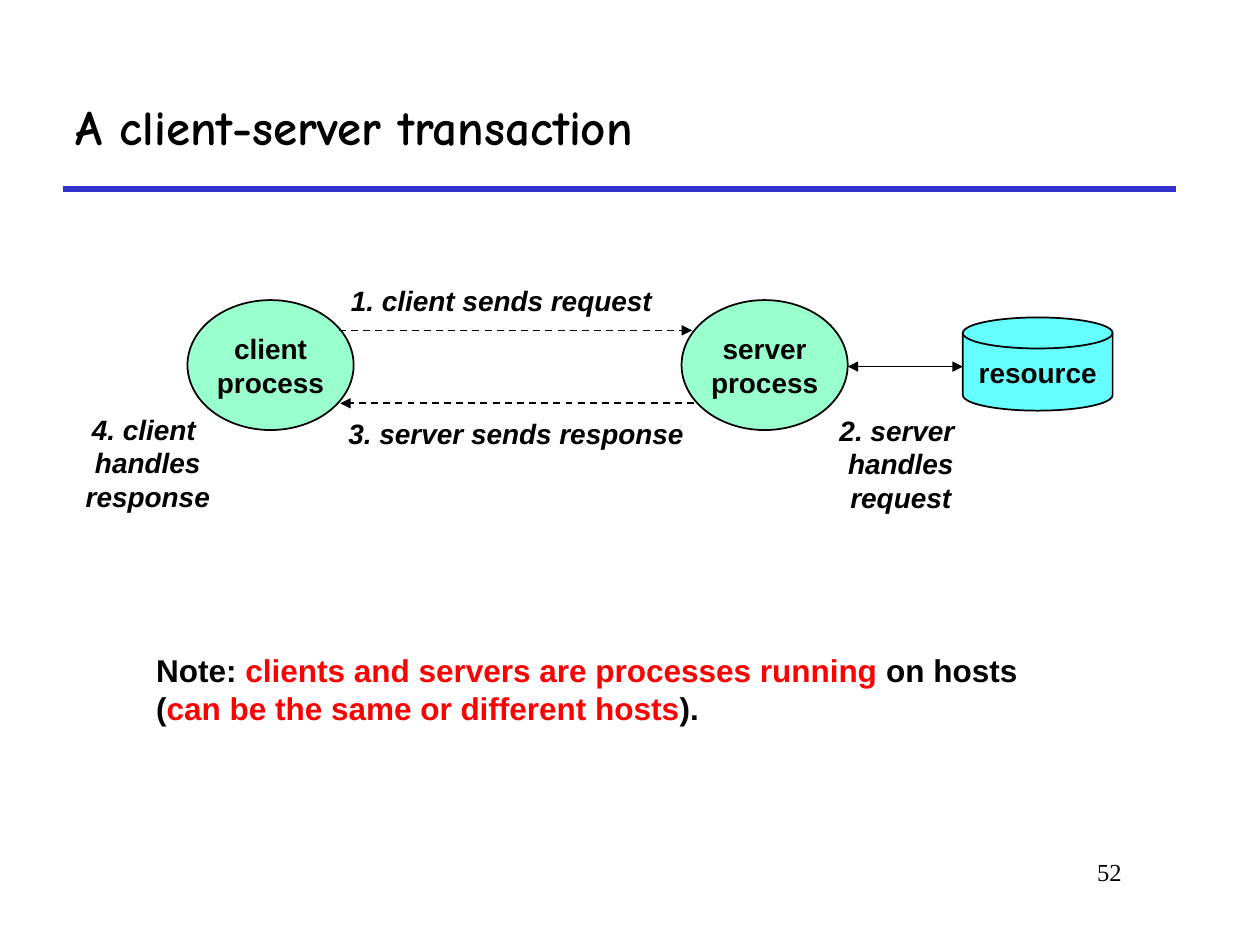
from lxml import etree
from pptx import Presentation
from pptx import util as u
from pptx.dml.color import RGBColor
from pptx.enum import dml, shapes, text
from pptx.oxml.ns import qn

BLACK, RED, BLUE = "000000", "FF0000", "3333CC"
GREEN, CYAN = "99FFCC", "66FFFF"
LEFT, CENTER, RIGHT = text.PP_ALIGN.LEFT, text.PP_ALIGN.CENTER, text.PP_ALIGN.RIGHT
TOP, MIDDLE = text.MSO_ANCHOR.TOP, text.MSO_ANCHOR.MIDDLE


def rgb(color):
    return RGBColor.from_string(color)


def write(sp, lines, size=16, font="Arial", bold=True, italic=False,
          align=CENTER, anchor=MIDDLE, wrap=False):
    """Fill a shape with lines; a line is a string or a list of (string, colour)."""
    tf = sp.text_frame
    tf.word_wrap = wrap
    tf.vertical_anchor = anchor
    for i, line in enumerate(lines):
        p = tf.paragraphs[0] if i == 0 else tf.add_paragraph()
        p.alignment = align
        runs = [(line, BLACK)] if isinstance(line, str) else line
        for words, color in runs:
            r = p.add_run()
            r.text = words
            r.font.name = font
            r.font.size = u.Pt(size)
            r.font.bold = bold
            r.font.italic = italic
            r.font.color.rgb = rgb(color)


def add_text(s, x, y, w, h, lines, **fmt):
    sp = s.shapes.add_textbox(u.Cm(x), u.Cm(y), u.Cm(w), u.Cm(h))
    write(sp, lines, **fmt)


def add_node(s, kind, x, y, w, h, fill, lines):
    sp = s.shapes.add_shape(kind, u.Cm(x), u.Cm(y), u.Cm(w), u.Cm(h))
    sp.shadow.inherit = False
    sp.fill.solid()
    sp.fill.fore_color.rgb = rgb(fill)
    sp.line.color.rgb = rgb(BLACK)
    sp.line.width = u.Pt(1)
    write(sp, lines)


def add_line(s, x1, x2, y, color=BLACK, width=1, dashed=False, ends=()):
    """Draw a horizontal line; ends names the arrowheads, headEnd before tailEnd."""
    line = s.shapes.add_connector(shapes.MSO_CONNECTOR.STRAIGHT,
                                  u.Cm(x1), u.Cm(y), u.Cm(x2), u.Cm(y))
    line.line.color.rgb = rgb(color)
    line.line.width = u.Pt(width)
    if dashed:
        line.line.dash_style = dml.MSO_LINE.DASH
    ln = line.line._get_or_add_ln()
    for end in ends:
        etree.SubElement(ln, qn(f"a:{end}"), type="triangle")
    etree.SubElement(line._element.spPr, qn("a:effectLst"))


def add_frame(s):
    add_line(s, 1.27, 23.7, 3.81, BLUE, 3)
    add_text(s, 1.27, 1.27, 22.43, 2.54, ["A client-server transaction"],
             size=28, font="Comic Neue", align=LEFT, wrap=True)
    add_text(s, 19.25, 17.15, 3.61, 1.27, ["52"], size=14, bold=False,
             font="Times New Roman", align=RIGHT, anchor=TOP, wrap=True)


def add_diagram(s):
    for x, name in ((3.78, "client"), (13.74, "server")):
        add_node(s, shapes.MSO_SHAPE.OVAL, x, 6.05, 3.35, 2.62, GREEN,
                 [name, "process"])
    add_node(s, shapes.MSO_SHAPE.FLOWCHART_MAGNETIC_DISK,
             19.41, 6.4, 3.02, 1.88, CYAN, ["resource"])

    add_line(s, 6.83, 13.95, 6.66, dashed=True, ends=["tailEnd"])
    add_line(s, 13.99, 6.86, 8.13, dashed=True, ends=["tailEnd"])
    add_line(s, 17.09, 19.41, 7.39, ends=["headEnd", "tailEnd"])

    steps = (
        (6.81, 5.59, 6.6, 0.94, ["1. client sends request"]),
        (16.66, 8.2, 3.0, 2.29, ["2. server ", "handles", "request"]),
        (6.76, 8.26, 7.29, 0.94, ["3. server sends response"]),
        (1.47, 8.18, 3.02, 2.29, ["4. client ", "handles", "response"]),
    )
    for *place, lines in steps:
        add_text(s, *place, lines, italic=True)


def add_note(s):
    add_text(s, 2.9, 13.0, 18.03, 1.78, [
        [("Note: ", BLACK), ("clients and servers are processes running", RED),
         (" on hosts", BLACK)],
        [("(", BLACK), ("can be the same or different hosts", RED), (").", BLACK)],
    ], size=18, align=LEFT, anchor=TOP)


def main():
    prs = Presentation()
    prs.slide_width, prs.slide_height = u.Cm(25.4), u.Cm(19.05)
    s = prs.slides.add_slide(prs.slide_layouts[6])
    add_frame(s)
    add_diagram(s)
    add_note(s)
    prs.save("out.pptx")


if __name__ == "__main__":
    main()
